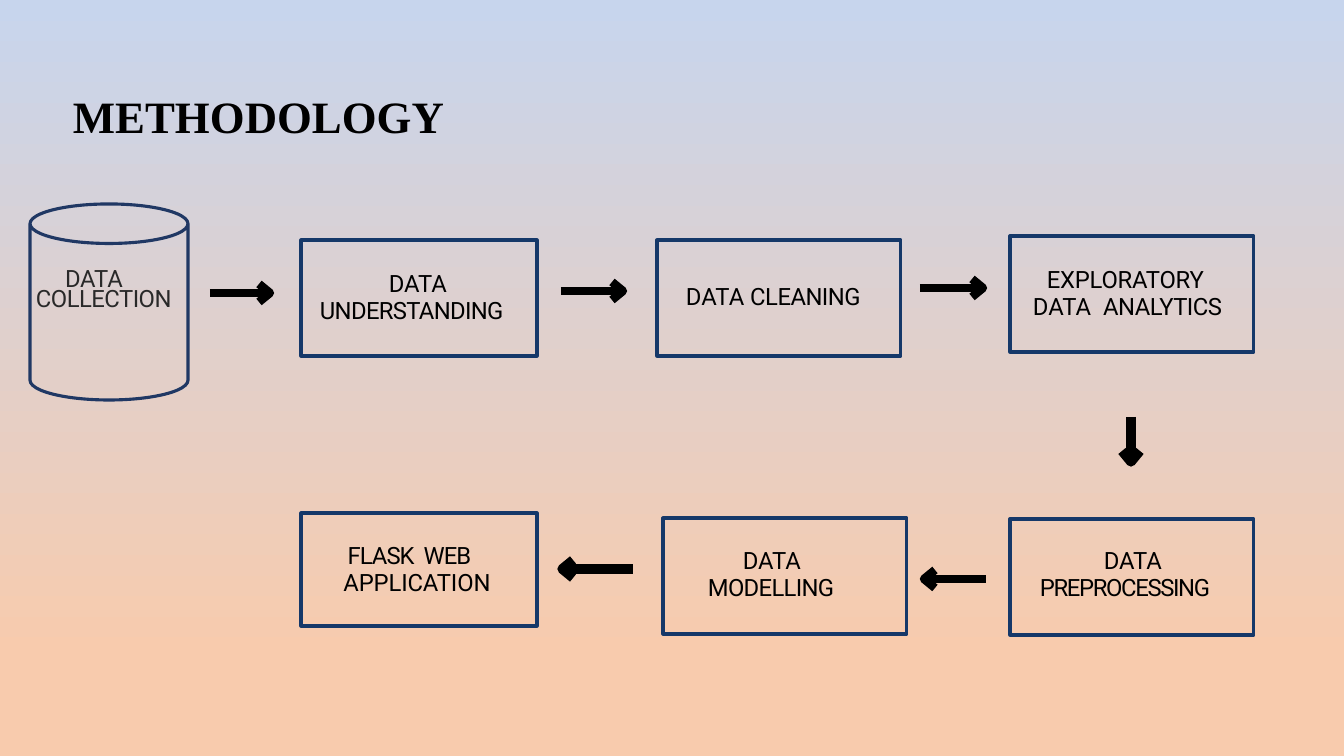
from dataclasses import dataclass

from lxml import etree
from pptx import Presentation
from pptx.dml.color import RGBColor
from pptx.enum.shapes import MSO_CONNECTOR, MSO_SHAPE
from pptx.enum.text import MSO_ANCHOR, MSO_AUTO_SIZE, PP_ALIGN
from pptx.oxml.ns import qn
from pptx.util import Pt

LEFT, CENTER = PP_ALIGN.LEFT, PP_ALIGN.CENTER
MIDDLE, FIXED = MSO_ANCHOR.MIDDLE, MSO_AUTO_SIZE.NONE
RECT, CAN = MSO_SHAPE.RECTANGLE, MSO_SHAPE.CAN
STRAIGHT = MSO_CONNECTOR.STRAIGHT
SCALE = 914400 / 100.8
HEAD_LONG, HEAD_HALF = 11, 9


@dataclass(frozen=True)
class Theme:
    sky: str = "C7D5ED"
    peach: str = "F8CBAD"
    ink: str = "000000"
    gray: str = "292929"
    navy: str = "153869"
    can: str = "203864"
    head_font: str = "Times New Roman"
    body_font: str = "Roboto"
    head_size: float = 32
    body_size: float = 17
    leading: float = 19.5
    tight: float = 13.9
    border: float = 2.25


THEME = Theme()

BOXES = [
    (301, 240, 236, 116), (657, 240, 244, 116), (1010, 236, 244, 116),
    (301, 513, 236, 113), (663, 518, 244, 116), (1010, 519, 244, 116),
]

# Left, top, width, text parts with letter spacing in points, format.
LABELS = [
    (35, 273, 168, [("DATA", -0.1), ("\nCOLLECTION", -0.4)],
     dict(margin=1, indent=29, color=THEME.gray, leading=THEME.tight)),
    (319, 270, 201, [("DATA", -0.1), ("\nUNDERSTANDING", -0.5)],
     dict(margin=1, indent=69)),
    (685, 283, 188, [("DATA ", 0), ("CLEANING", -0.4)], dict(margin=1)),
    (1032, 266, 199,
     [("EXPLORATORY", -0.2), ("\nDATA  ", 0), ("ANALYTICS", -0.4)],
     dict(margin=1, indent=14)),
    (1039, 547, 193, [("DATA", -0.1), ("\nPREPROCESSING", -1)],
     dict(margin=1, indent=64)),
    (666, 547, 227, [("DATA", -0.1), ("\nMODELLING", -0.5)],
     dict(margin=42, indent=35)),
    (307, 542, 204, [("FLASK  WEB", -0.7), ("\nAPPLICATION", -0.1)],
     dict(margin=16, indent=-15, align=CENTER)),
]

# Tail, tip, line weight.
ARROWS = [
    ((210, 293), (270, 293), 6),
    ((561, 291), (623, 291), 6),
    ((920, 288), (983, 288), 6),
    ((1131, 417), (1131, 462), 6.75),
    ((986, 579), (924, 579), 6),
    ((633, 569), (562, 569), 6.75),
]


def px(*units):
    return [round(unit * SCALE) for unit in units]


def write(frame, parts, size=THEME.body_size, font=THEME.body_font,
          color=THEME.ink, bold=False, align=LEFT, leading=THEME.leading,
          margin=0, indent=0):
    """Write (text, spacing) parts; a leading newline breaks the line."""
    frame.word_wrap = True
    frame.auto_size = FIXED
    frame.margin_left = frame.margin_right = 0
    frame.margin_top = frame.margin_bottom = 0
    para = frame.paragraphs[0]
    para.alignment = align
    if leading:
        para.line_spacing = Pt(leading)
    props = para._p.get_or_add_pPr()
    for key, value in zip(("marL", "indent"), px(margin, indent)):
        props.set(key, str(value))
    for text, gap in parts:
        if text.startswith("\n"):
            para.add_line_break()
        run = para.add_run()
        run.text = text.lstrip("\n")
        run.font.size = Pt(size)
        run.font.name = font
        run.font.bold = bold
        run.font.color.rgb = RGBColor.from_string(color)
        run._r.get_or_add_rPr().set("spc", str(round(gap * 100)))


def stroke(shape, color, weight):
    shape.line.color.rgb = RGBColor.from_string(color)
    shape.line.width = Pt(weight)
    etree.SubElement(shape.line._get_or_add_ln(), qn("a:round"))


def hollow(shape, color, weight):
    shape.shadow.inherit = False
    shape.fill.background()
    stroke(shape, color, weight)


def outline(slide, kind, area, color):
    shape = slide.shapes.add_shape(kind, *px(*area))
    hollow(shape, color, THEME.border)
    return shape


def label(slide, left, top, width, parts, style):
    box = slide.shapes.add_textbox(*px(left, top, width, 56))
    write(box.text_frame, parts, **style)


def arrow(slide, tail, tip, weight):
    """Draw a shaft and an open head that points along it."""
    shaft = slide.shapes.add_connector(STRAIGHT, *px(*tail, *tip))
    stroke(shaft, THEME.ink, weight)
    etree.SubElement(shaft._element.spPr, qn("a:effectLst"))

    (x, y), (dx, dy) = tip, (b - a for a, b in zip(tail, tip))
    span = abs(dx) + abs(dy)
    ux, uy = dx / span, dy / span
    back_x, back_y = x - ux * HEAD_LONG, y - uy * HEAD_LONG
    side_x, side_y = uy * HEAD_HALF, ux * HEAD_HALF
    path = slide.shapes.build_freeform(
        back_x + side_x, back_y - side_y, scale=SCALE)
    path.add_line_segments(
        [tip, (back_x - side_x, back_y + side_y)], close=False)
    hollow(path.convert_to_shape(), THEME.ink, weight)


def paint(slide):
    fill = slide.background.fill
    fill.gradient()
    fill.gradient_angle = 270
    stops = ((0, THEME.sky), (0.87, THEME.peach))
    for stop, (place, color) in zip(fill.gradient_stops, stops):
        stop.position = place
        stop.color.rgb = RGBColor.from_string(color)


def head(slide, text):
    title = slide.shapes.title
    title.left, title.top, title.width, title.height = px(73, 88, 710, 55)
    title.text_frame.vertical_anchor = MIDDLE
    write(title.text_frame, [(text, 0)], size=THEME.head_size,
          font=THEME.head_font, bold=True, leading=None)


def main():
    deck = Presentation()
    deck.slide_width, deck.slide_height = px(1344, 756)
    slide = deck.slides.add_slide(deck.slide_layouts[5])
    paint(slide)
    head(slide, "METHODOLOGY")
    outline(slide, CAN, (30, 204, 158, 196), THEME.can).adjustments[0] = 0.25
    for area in BOXES:
        outline(slide, RECT, area, THEME.navy)
    for item in LABELS:
        label(slide, *item)
    for item in ARROWS:
        arrow(slide, *item)
    deck.save("out.pptx")


if __name__ == "__main__":
    main()
